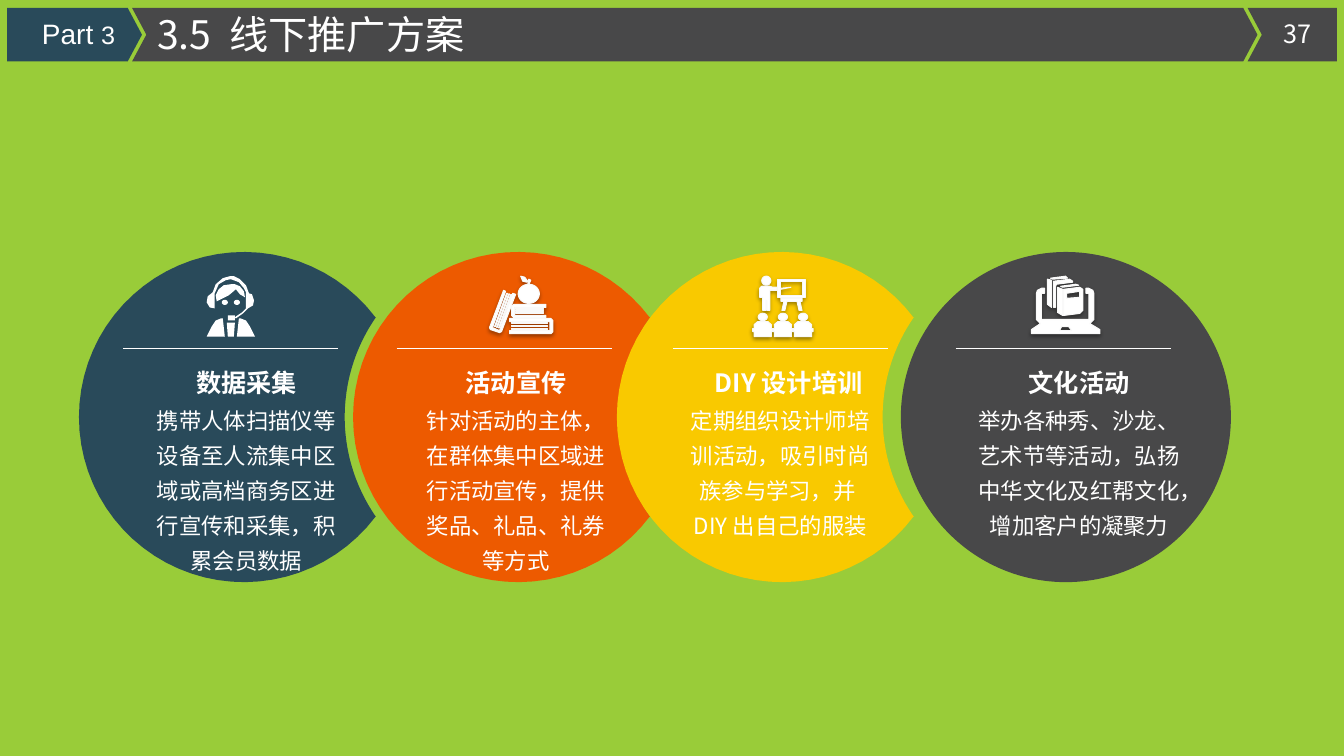
from math import cos, radians, sin

from lxml.etree import SubElement
from pptx import Presentation
from pptx.dml.color import RGBColor
from pptx.enum.shapes import MSO_CONNECTOR, MSO_SHAPE
from pptx.enum.text import PP_ALIGN
from pptx.oxml.ns import qn
from pptx.util import Cm, Pt

HUNDREDTH_INCH = 0.0254


def color(value):
    return RGBColor.from_string(value)


def arc(x, y, radius_x, radius_y, start, end, steps=60):
    angles = [radians(start + (end - start) * i / steps) for i in range(steps + 1)]
    return [(x + radius_x * cos(a), y + radius_y * sin(a)) for a in angles]


def disc(x, y, radius_x, radius_y):
    return arc(x, y, radius_x, radius_y, 0, 360, 32)


def bar(x, y, width, height):
    return [(x, y), (x + width, y), (x + width, y + height), (x, y + height)]


def bitten_disc(x, y, radius):
    return arc(x, y, radius, radius, 37.1, 322.9) + arc(x + 6.95, y, 4.41, 4.41, 214.77, 145.23)


def operator_icon():
    return [
        [(23, 0), (16, 2), (9, 8), (6, 16), (1, 20), (0, 26), (3, 31), (8, 32), (8, 17),
         (12, 8), (19, 4), (24, 3), (32, 6), (37, 12), (39, 16), (39, 32), (35, 36),
         (29, 40), (28, 41), (29, 42), (36, 37), (41, 32), (46, 29), (47, 24), (45, 18),
         (42, 17), (39, 9), (33, 3), (27, 0)],
        [(24, 8), (17, 9), (12, 13), (9, 19), (10, 25), (22, 19), (29, 13), (33, 18),
         (38, 21), (37, 15), (33, 10), (28, 8)],
        disc(18, 26, 3, 2.5), disc(30, 26, 3, 2.5), bar(21, 39, 7, 5),
        [(34, 42), (32, 42), (30, 60), (48, 60), (43, 50), (39, 44)],
        [(14, 42), (16, 42), (18, 60), (0, 60), (5, 50), (9, 44)],
        [(20, 46), (28, 46), (27, 60), (21, 60)],
    ]


def books_icon():
    leaning_pages = [[(17 + x, 17 + x / 3), (18 + x, 17 + x / 3), (6 + x, 50 + x / 3),
                      (5 + x, 50 + x / 3)] for x in (0, 2, 4)]
    return [
        [(24, 28), (56, 28), (56, 31), (25, 31), (25, 39), (56, 39), (56, 41), (24, 41),
         (22, 39), (22, 30)],
        [(20, 42), (61, 42), (63, 44), (63, 55), (61, 57), (20, 57), (20, 54), (60, 54),
         (60, 45), (20, 45)],
        [(14, 14), (16, 15), (3, 51), (10, 54), (23, 17), (26, 18), (12, 55), (10, 56),
         (1, 53), (0, 51)],
        *leaning_pages,
        *[bar(26, y, 28, 1) for y in (32, 34, 36)],
        *[bar(22, y, 36, 1) for y in (46, 49, 52)],
        disc(39, 17.5, 10.5, 9.5),
        [(31, 0), (35, 1), (38, 5), (37, 6), (33, 5)],
        [(38, 7.5), (39, 3), (41, 4), (39.5, 7.5)],
    ]


def training_icon():
    contours = [
        disc(14.5, 4.5, 4.5, 4.5), bar(26, 3, 27, 18), bar(29, 5, 21, 14),
        [(8, 12), (10, 10), (18, 10), (21, 11), (25, 11), (25, 14), (18, 14), (18, 34),
         (15, 34), (15, 24), (14, 24), (14, 34), (11, 34), (11, 21), (8, 21)],
        [(29, 12), (39, 11), (29, 13)],
        [(29, 22), (50, 22), (50, 25), (48, 25), (50, 34), (47, 34), (45, 25), (35, 25),
         (33, 34), (30, 34), (32, 25), (29, 25)],
    ]
    half = [(5, 45), (8.5, 48), (8.5, 52), (10, 52), (10, 55), (8.5, 55), (8.5, 60)]
    for x in (11, 31, 51):
        contours.append(disc(x, 40.5, 4.5, 3.7))
        contours.append([(x + dx, y) for dx, y in half] + [(x - dx, y) for dx, y in half[::-1]])
    return contours


def laptop_icon():
    return [
        [(10, 17), (13, 17), (13, 12), (10, 12), (6, 14), (5, 17), (5, 43), (9, 47), (0, 53),
         (0, 57), (68, 57), (68, 53), (58, 47), (62, 43), (62, 17), (61, 14), (57, 12),
         (54, 12), (54, 17), (57, 17), (57, 43), (10, 43)],
        [(30, 50), (37, 50), (40, 54), (28, 54)],
        [(19, 2), (34, 0), (36, 2), (21, 3)],
        [(16, 3), (20, 4), (20, 31), (16, 28)],
        [(22, 5), (38, 3), (41, 5), (41, 6), (25, 8), (24, 10), (24, 31), (22, 31)],
        [(29, 10), (44, 8), (47, 9), (31, 11)],
        [(26, 11), (31, 13), (31, 39), (26, 36)],
        [(32, 13), (48, 11), (51, 13), (51, 34), (48, 37), (32, 39)],
        [(35, 17), (48, 15), (48, 21), (35, 22)],
    ]


class SlideBuilder:
    font = "Noto Sans CJK SC"
    white = "FFFFFF"
    dark = "484849"
    navy = "294A5A"

    def __init__(self, page):
        self.page = page

    def background(self, fill):
        self.page.background.fill.solid()
        self.page.background.fill.fore_color.rgb = color(fill)

    def paint(self, shape, fill):
        shape.fill.solid()
        shape.fill.fore_color.rgb = color(fill)
        shape.line.fill.background()
        shape.shadow.inherit = False
        return shape

    def outline(self, contours, fill):
        contours = [[(Cm(x), Cm(y)) for x, y in contour] for contour in contours]
        builder = self.page.shapes.build_freeform(*contours[0][0], scale=1.0)
        for index, contour in enumerate(contours):
            if index:
                builder.move_to(*contour[0])
            builder.add_line_segments(contour[1:], close=True)
        return self.paint(builder.convert_to_shape(), fill)

    def header_band(self, left, right, fill, notch=0, tip=0):
        top, bottom = 0.2, 1.55
        middle = (top + bottom) / 2
        self.outline([[(left, top), (right - tip, top), (right, middle), (right - tip, bottom),
                       (left, bottom), (left + notch, middle)]], fill)

    def circle(self, x, y, radius, fill):
        shape = self.page.shapes.add_shape(MSO_SHAPE.OVAL, Cm(x - radius), Cm(y - radius),
                                           Cm(2 * radius), Cm(2 * radius))
        self.paint(shape, fill)

    def rule(self, left, y, width):
        line = self.page.shapes.add_connector(MSO_CONNECTOR.STRAIGHT, Cm(left), Cm(y),
                                              Cm(left + width), Cm(y))
        line.line.color.rgb = color(self.white)
        line.line.width = Pt(1)
        SubElement(line._element.spPr, qn("a:effectLst"))

    def icon(self, contours, left, top, raised):
        placed = [[(left + x * HUNDREDTH_INCH, top + y * HUNDREDTH_INCH) for x, y in contour]
                  for contour in contours]
        shape = self.outline(placed, self.white)
        if raised:
            shape.line.color.rgb = color("F9F9F9")
            shape.line.width = Pt(0.75)
            effects = shape._element.spPr.find(qn("a:effectLst"))
            shadow = SubElement(effects, qn("a:outerShdw"), blurRad=str(Pt(3.1)),
                                dist=str(Pt(1.6)), dir="5400000", algn="t", rotWithShape="0")
            black = SubElement(shadow, qn("a:srgbClr"), val="000000")
            SubElement(black, qn("a:alpha"), val="38000")

    def text(self, text, left, top, width, height, size=16, bold=False, align=PP_ALIGN.CENTER,
             spacing=1.0, font=None, wrap=True):
        box = self.page.shapes.add_textbox(Cm(left), Cm(top), Cm(width), Cm(height))
        box.text_frame.word_wrap = wrap
        para = box.text_frame.paragraphs[0]
        para.alignment = align
        para.line_spacing = spacing
        for words, points in [(text, size)] if isinstance(text, str) else text:
            span = para.add_run()
            span.text = words
            span.font.name = font or self.font
            span.font.size = Pt(points)
            span.font.bold = bold
            span.font.color.rgb = color(self.white)
            SubElement(span._r.rPr, qn("a:ea"), typeface=font or self.font)


def main():
    deck = Presentation()
    deck.slide_width, deck.slide_height = Cm(33.88), Cm(19.05)
    slide = SlideBuilder(deck.slides.add_slide(deck.slide_layouts[6]))
    slide.background("99CC39")
    slide.header_band(0.18, 3.58, slide.navy, tip=0.36)
    slide.header_band(3.33, 31.7, slide.dark, notch=0.36, tip=0.36)
    slide.header_band(31.45, 33.7, slide.dark, notch=0.36)
    slide.text("37", 32.03, 0.33, 1.37, 1.02, size=18, wrap=False)
    slide.text("3.5 线下推广方案", 3.71, 0.13, 14, 1.45, size=28, align=PP_ALIGN.LEFT)
    slide.text([("Part ", 20), ("3 ", 18)], 0.38, 0.3, 2.95, 1.12, align=PP_ALIGN.RIGHT,
               font="Arial")

    columns = [
        (6.15, slide.navy, 3.11, operator_icon(), 5.21, "数据采集", 4.19, 4.06,
         "携带人体扫描仪等设备至人流集中区域或高档商务区进行宣传和采集，积累会员数据", 3.53, 5.36),
        (13.06, "ED5A00", 10, books_icon(), 12.34, "活动宣传", 10.98, 4.06,
         "针对活动的主体，在群体集中区域进行活动宣传，提供奖品、礼品、礼券等方式", 10.33, 5.36),
        (19.71, "F9C900", 16.96, training_icon(), 18.95, "DIY设计培训", 17.63, 4.5,
         "定期组织设计师培训活动，吸引时尚族参与学习，并DIY出自己的服装", 16.99, 5.36),
        (26.87, slide.dark, 24.09, laptop_icon(), 26, "文化活动", 24.97, 4.47,
         "举办各种秀、沙龙、艺术节等活动，弘扬中华文化及红帮文化，增加客户的凝聚力", 24.26, 5.89),
    ]
    middle, radius = 10.51, 4.16
    for index, (center, fill, rule_left, icon, icon_left, heading, heading_left, heading_width,
                body, body_left, body_width) in enumerate(columns):
        if index < len(columns) - 1:
            slide.outline([bitten_disc(center, middle, radius)], fill)
        else:
            slide.circle(center, middle, radius, fill)
        slide.rule(rule_left, 8.79, 5.42)
        slide.icon(icon, icon_left, 6.96, raised=index > 0)
        slide.text(heading, heading_left, 9.12, heading_width, 1.02, size=18, bold=True)
        slide.text(body, body_left, 9.93, body_width, 4.7, spacing=1.3)
    deck.save("out.pptx")


if __name__ == "__main__":
    main()
